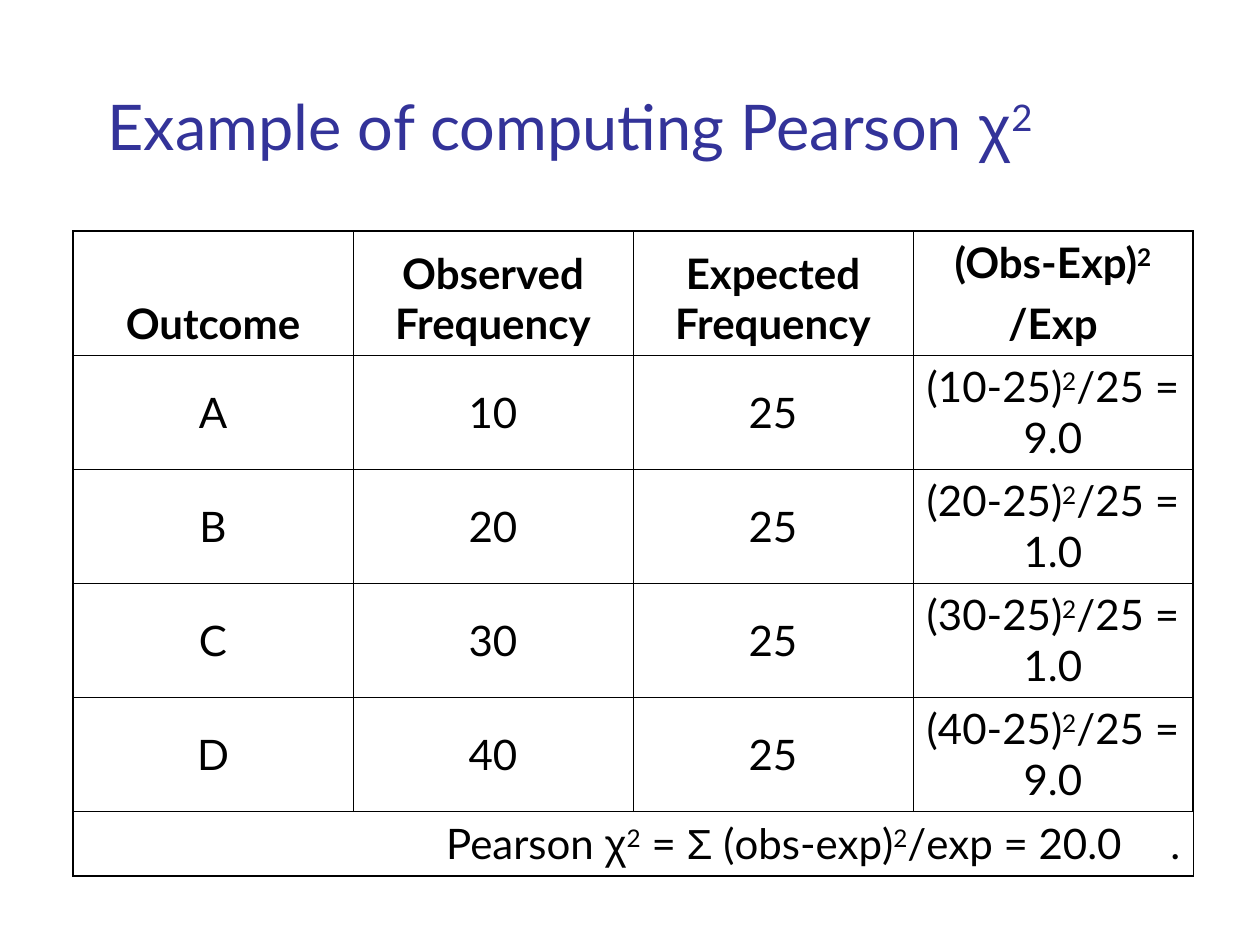
from dataclasses import dataclass
from itertools import groupby

from lxml.etree import SubElement
from pptx import Presentation
from pptx.dml.color import RGBColor
from pptx.enum.text import MSO_ANCHOR as Anchor, MSO_AUTO_SIZE as AutoSize, PP_ALIGN as Align
from pptx.oxml.ns import qn
from pptx.util import Emu, Pt

EMU_PER_PX = 914400 / 126


def px(length):
    return Emu(round(length * EMU_PER_PX))


@dataclass(frozen=True)
class Theme:
    font: str = "Lato"
    greek_font: str = "Arial"
    title_color: str = "333399"
    text_color: str = "000000"
    title_size: int = 36
    table_size: int = 24
    paragraph_gap: int = 6
    outer_line: float = 1.08
    inner_line: float = 0.45
    wide_space: float = 21.7


class SlideBuilder:
    def __init__(self, slide, theme):
        self.slide = slide
        self.theme = theme

    def add_text(self, paragraph, text, size, color, bold=False, spacing=0):
        """Add text to a paragraph; carets enclose superscripts."""
        for index, part in enumerate(text.split("^")):
            for is_greek, letters in groupby(part, key=lambda letter: letter in "χΣ"):
                run = paragraph.add_run()
                run.text = "".join(letters)
                font = run.font
                font.name = self.theme.greek_font if is_greek else self.theme.font
                font.size = Pt(size)
                font.bold = bold
                font.color.rgb = RGBColor.from_string(color)
                properties = run._r.get_or_add_rPr()
                if index % 2:
                    properties.set("baseline", "30000")
                if spacing:
                    properties.set("spc", str(round(spacing * 100)))

    def title(self, text, left, top, width, height):
        shape = self.slide.shapes.title
        shape.left, shape.top, shape.width, shape.height = map(px, (left, top, width, height))
        frame = shape.text_frame
        frame.auto_size = AutoSize.NONE
        frame.word_wrap = True
        frame.vertical_anchor = Anchor.BOTTOM
        paragraph = frame.paragraphs[0]
        paragraph.alignment = Align.LEFT
        self.add_text(paragraph, text, self.theme.title_size, self.theme.title_color)

    def table(self, left, top, column_widths, row_heights):
        table = self.slide.shapes.add_table(
            len(row_heights), len(column_widths), px(left), px(top),
            px(sum(column_widths)), px(sum(row_heights))).table
        table.first_row = table.horz_banding = False
        for column, width in zip(table.columns, column_widths):
            column.width = px(width)
        for row, height in zip(table.rows, row_heights):
            row.height = px(height)
        last_row, last_column = len(row_heights) - 1, len(column_widths) - 1
        for row in range(last_row + 1):
            for column in range(last_column + 1):
                cell = table.cell(row, column)
                self.borders(cell, {"L": column == 0, "R": column == last_column,
                                    "T": row == 0, "B": row == last_row})
                cell.fill.background()
        return table

    def borders(self, cell, outer_sides):
        properties = cell._tc.get_or_add_tcPr()
        for side, is_outer in outer_sides.items():
            width = self.theme.outer_line if is_outer else self.theme.inner_line
            line = SubElement(properties, qn(f"a:ln{side}"), w=str(int(Pt(width))))
            fill = SubElement(line, qn("a:solidFill"))
            SubElement(fill, qn("a:srgbClr"), val=self.theme.text_color)

    def cell_text(self, cell, text, anchor=Anchor.MIDDLE, align=Align.CENTER, bold=False):
        """Fill a cell, one paragraph a line, and return the last paragraph."""
        cell.vertical_anchor = anchor
        frame = cell.text_frame
        for index, line in enumerate(text.split("\n")):
            paragraph = frame.add_paragraph() if index else frame.paragraphs[0]
            paragraph.alignment = align
            paragraph.space_before = Pt(self.theme.paragraph_gap)
            self.add_text(paragraph, line, self.theme.table_size, self.theme.text_color, bold)
        return paragraph


def main():
    presentation = Presentation()
    presentation.slide_width, presentation.slide_height = px(1260), px(945)
    theme = Theme()
    slide = presentation.slides.add_slide(presentation.slide_layouts[5])
    builder = SlideBuilder(slide, theme)

    # Title
    builder.title("Example of computing Pearson χ^2^", 95, 53, 1071, 116)

    # Table grid
    headers = ["Outcome", "Observed Frequency", "Expected Frequency", "(Obs-Exp)^2^\n/Exp"]
    observed = {"A": 10, "B": 20, "C": 30, "D": 40}
    expected = 25
    table = builder.table(73, 231, [280] * len(headers), [124] + [114] * len(observed) + [65])

    # Header row
    for column, header in enumerate(headers):
        builder.cell_text(table.cell(0, column), header, anchor=Anchor.BOTTOM, bold=True)

    # Outcome rows
    total = 0
    for row, (outcome, count) in enumerate(observed.items(), start=1):
        term = (count - expected) ** 2 / expected
        total += term
        formula = f"({count}-{expected})^2^/{expected} = {term:.1f}"
        for column, text in enumerate([outcome, str(count), str(expected), formula]):
            builder.cell_text(table.cell(row, column), text)

    # Total row, with a wide space before the final full stop
    last_row = len(observed) + 1
    total_cell = table.cell(last_row, 0)
    total_cell.merge(table.cell(last_row, len(headers) - 1))
    paragraph = builder.cell_text(
        total_cell, f"Pearson χ^2^ = Σ (obs-exp)^2^/exp = {total:.1f}", align=Align.RIGHT)
    style = (theme.table_size, theme.text_color)
    builder.add_text(paragraph, " ", *style, spacing=theme.wide_space)
    builder.add_text(paragraph, ".", *style)

    presentation.save("out.pptx")


if __name__ == "__main__":
    main()
